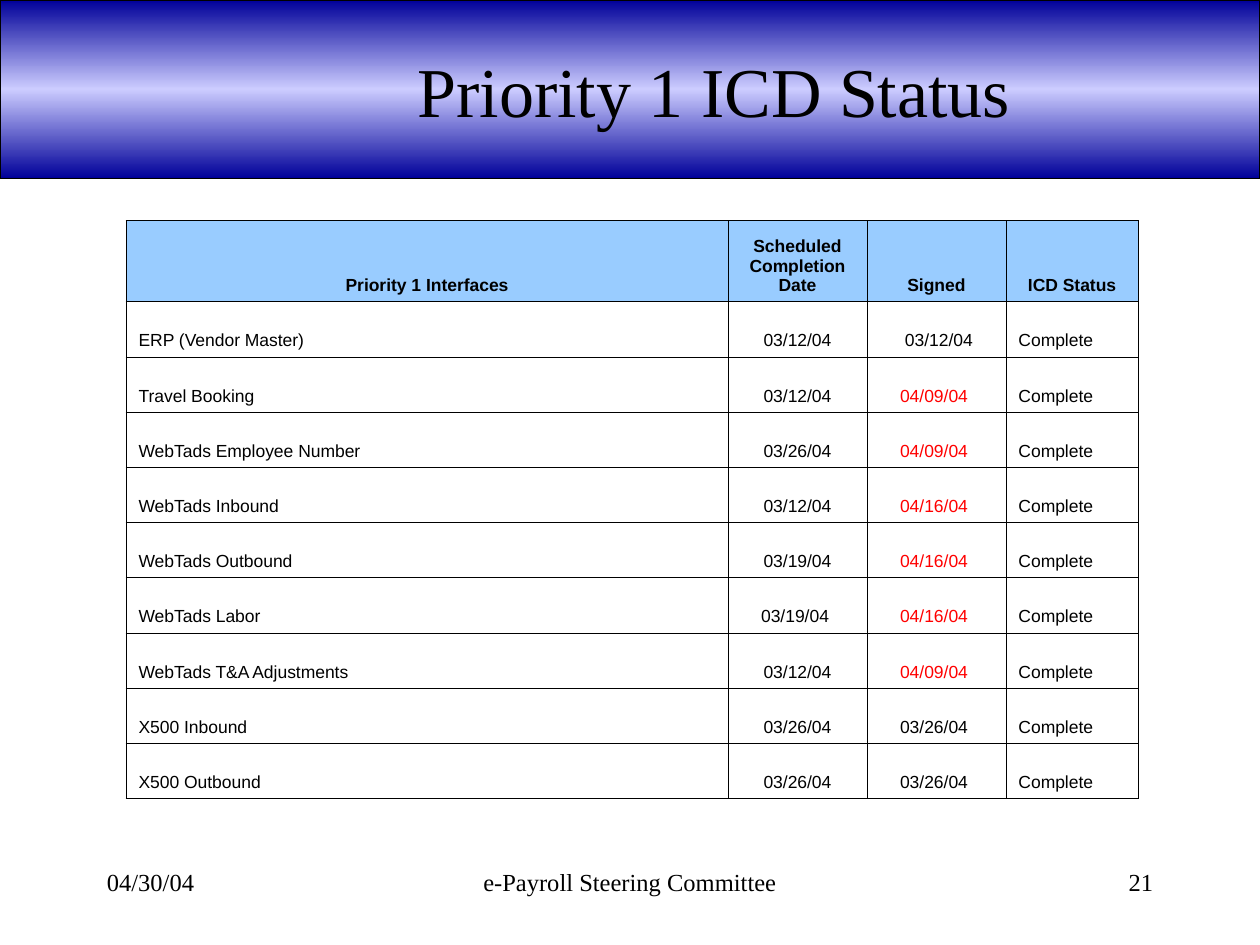
from copy import deepcopy
from dataclasses import dataclass

from lxml.etree import SubElement
from pptx import Presentation
from pptx.dml.color import RGBColor
from pptx.enum.shapes import MSO_SHAPE
from pptx.enum.text import MSO_ANCHOR, PP_ALIGN
from pptx.oxml.ns import qn
from pptx.util import Pt


@dataclass(frozen=True)
class Theme:
    ink: str = "000000"
    late: str = "FF0000"
    header: str = "99CCFF"
    banner_edge: str = "000099"
    banner_middle: str = "CCCCFF"
    serif: str = "Times New Roman"
    sans: str = "Arial"
    title_size: float = 40
    footer_size: float = 14
    table_size: float = 10
    border: float = 0.45


THEME = Theme()
SLIDE_WIDTH, SLIDE_HEIGHT = 720, 540

TABLE_LEFT, TABLE_TOP = 72, 126
COLUMN_WIDTHS = (344, 79.4, 79.4, 75.6)
HEADER_HEIGHT, ROW_HEIGHT = 46.4, 31.56
HANGING_INDENT = 27

HEADINGS = (
    "Priority 1 Interfaces",
    "Scheduled\nCompletion\nDate",
    "Signed",
    "ICD Status",
)
# Interface, scheduled date, signed date; some dates carry a no-break space.
INTERFACES = (
    ("ERP (Vendor Master)", "03/12/04", " 03/12/04"),
    ("Travel Booking", "03/12/04", "04/09/04 "),
    ("WebTads Employee Number", "03/26/04", "04/09/04 "),
    ("WebTads Inbound", "03/12/04", "04/16/04 "),
    ("WebTads Outbound", "03/19/04", "04/16/04 "),
    ("WebTads Labor", "03/19/04 ", "04/16/04 "),
    ("WebTads T&A Adjustments", "03/12/04", "04/09/04 "),
    ("X500 Inbound", "03/26/04", "03/26/04 "),
    ("X500 Outbound", "03/26/04", "03/26/04 "),
)
STATUS = "Complete"


def rgb(color):
    return RGBColor.from_string(color)


def add_run(paragraph, text, size, font, color=THEME.ink, bold=False):
    run = paragraph.add_run()
    run.text = text
    run.font.size = Pt(size)
    run.font.name = font
    run.font.bold = bold
    run.font.color.rgb = rgb(color)


def add_banner(slide, height):
    banner = slide.shapes.add_shape(
        MSO_SHAPE.RECTANGLE, 0, 0, Pt(SLIDE_WIDTH), Pt(height))
    banner.shadow.inherit = False
    banner.line.color.rgb = rgb(THEME.ink)
    banner.line.width = Pt(1)
    banner.fill.gradient()
    banner.fill.gradient_angle = 90
    stop_list = banner.fill._fill._gradFill.find(qn("a:gsLst"))
    stop_list.append(deepcopy(stop_list[0]))
    colors = (THEME.banner_edge, THEME.banner_middle, THEME.banner_edge)
    for stop, position, color in zip(banner.fill.gradient_stops, (0, 0.5, 1), colors):
        stop.position = position
        stop.color.rgb = rgb(color)


def add_text(slide, text, left, top, width, height, size, align, anchor=MSO_ANCHOR.TOP):
    box = slide.shapes.add_textbox(Pt(left), Pt(top), Pt(width), Pt(height))
    frame = box.text_frame
    frame.word_wrap = True
    frame.vertical_anchor = anchor
    paragraph = frame.paragraphs[0]
    paragraph.alignment = align
    add_run(paragraph, text, size, THEME.serif)


def add_borders(cell):
    properties = cell._tc.get_or_add_tcPr()
    for position, side in enumerate(("a:lnL", "a:lnR", "a:lnT", "a:lnB")):
        line = properties.makeelement(qn(side), {"w": str(int(Pt(THEME.border)))})
        fill = SubElement(line, qn("a:solidFill"))
        SubElement(fill, qn("a:srgbClr"), val=THEME.ink)
        properties.insert(position, line)


def fill_cell(cell, text, align, color=THEME.ink, header=False):
    cell.vertical_anchor = MSO_ANCHOR.BOTTOM
    if header:
        cell.fill.solid()
        cell.fill.fore_color.rgb = rgb(THEME.header)
    else:
        cell.fill.background()
    add_borders(cell)
    frame = cell.text_frame
    for number, line in enumerate(text.split("\n")):
        paragraph = frame.add_paragraph() if number else frame.paragraphs[0]
        paragraph.alignment = align
        properties = paragraph._p.get_or_add_pPr()
        properties.set("marL", str(int(Pt(HANGING_INDENT))))
        properties.set("indent", str(int(Pt(-HANGING_INDENT))))
        add_run(paragraph, line, THEME.table_size, THEME.sans, color, header)


def add_status_table(slide):
    row_count = len(INTERFACES) + 1
    table = slide.shapes.add_table(
        row_count, len(HEADINGS), Pt(TABLE_LEFT), Pt(TABLE_TOP),
        Pt(sum(COLUMN_WIDTHS)), Pt(HEADER_HEIGHT + ROW_HEIGHT * len(INTERFACES))).table
    table.first_row = table.horz_banding = False
    for column, width in zip(table.columns, COLUMN_WIDTHS):
        column.width = Pt(width)
    for number, row in enumerate(table.rows):
        row.height = Pt(ROW_HEIGHT if number else HEADER_HEIGHT)

    for column, heading in enumerate(HEADINGS):
        fill_cell(table.cell(0, column), heading, PP_ALIGN.CENTER, header=True)
    for row, (interface, scheduled, signed) in enumerate(INTERFACES, start=1):
        is_late = signed.strip() > scheduled.strip()
        signed_color = THEME.late if is_late else THEME.ink
        fill_cell(table.cell(row, 0), interface, PP_ALIGN.LEFT)
        fill_cell(table.cell(row, 1), scheduled, PP_ALIGN.CENTER)
        fill_cell(table.cell(row, 2), signed, PP_ALIGN.CENTER, signed_color)
        fill_cell(table.cell(row, 3), STATUS, PP_ALIGN.LEFT)


def add_footer(slide):
    parts = (
        ("e-Payroll Steering Committee", 246, 228, PP_ALIGN.CENTER),
        ("21", 516, 150, PP_ALIGN.RIGHT),
        ("04/30/04", 54, 150, PP_ALIGN.LEFT),
    )
    for text, left, width, align in parts:
        add_text(slide, text, left, 492, width, 36, THEME.footer_size, align)


def main():
    deck = Presentation()
    deck.slide_width, deck.slide_height = Pt(SLIDE_WIDTH), Pt(SLIDE_HEIGHT)
    slide = deck.slides.add_slide(deck.slide_layouts[6])
    add_banner(slide, 102)
    add_text(slide, "Priority 1 ICD Status", 198, 6, 420, 90,
             THEME.title_size, PP_ALIGN.CENTER, MSO_ANCHOR.MIDDLE)
    add_status_table(slide)
    add_footer(slide)
    deck.save("out.pptx")


if __name__ == "__main__":
    main()
